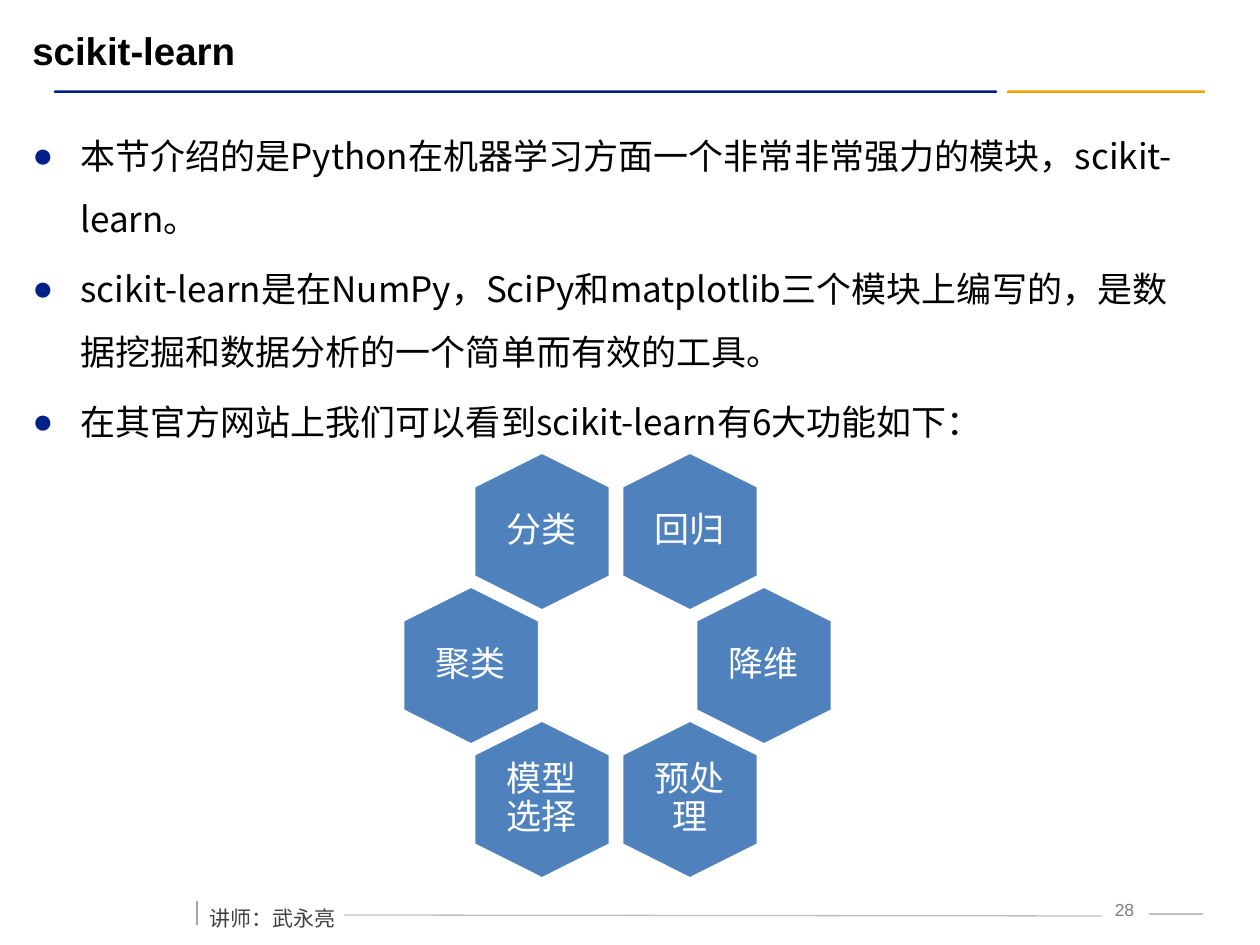
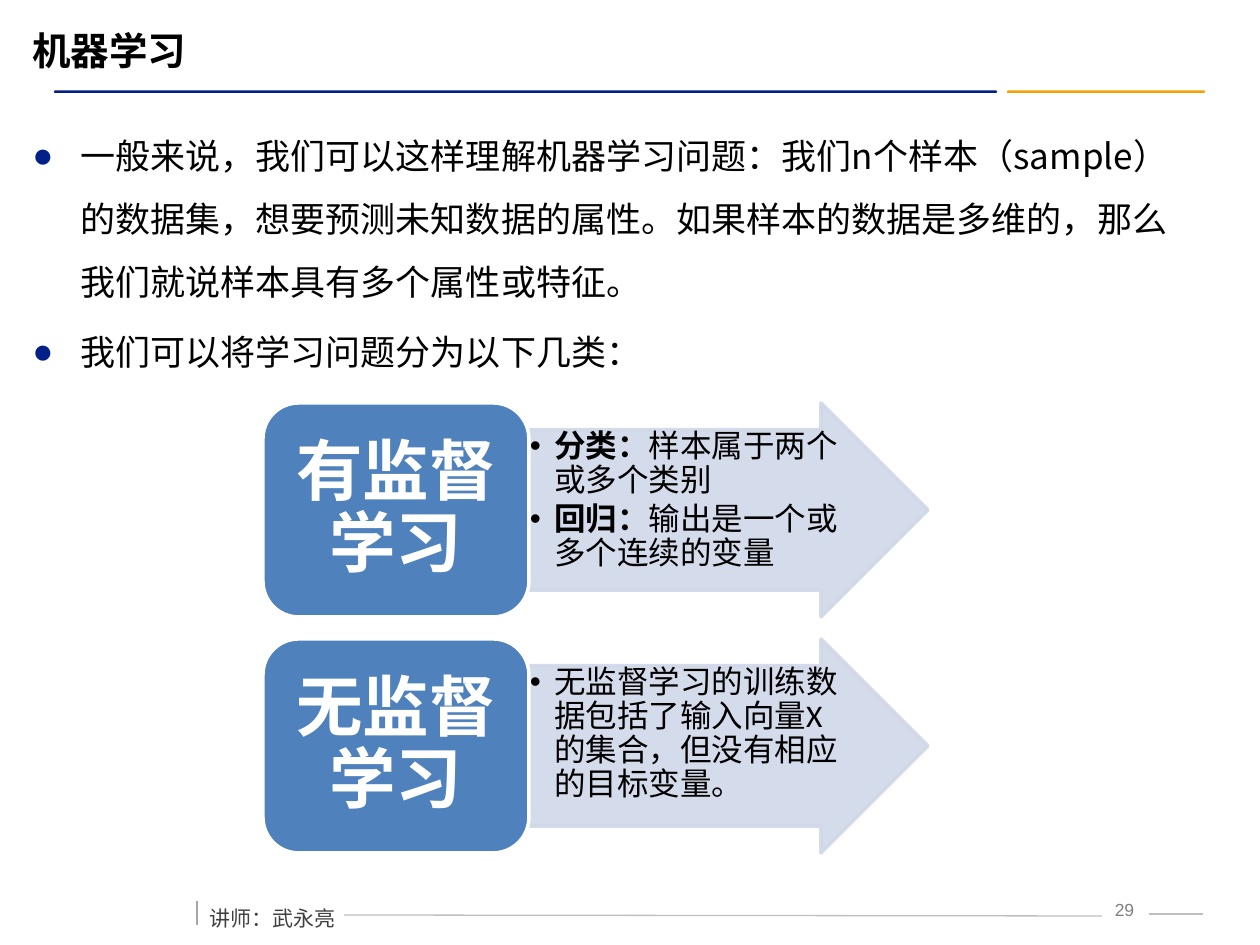
import dataclasses

import pptx
import pptx.dml.color
import pptx.enum.shapes
import pptx.enum.text
import pptx.oxml.ns
import pptx.oxml.xmlchemy
import pptx.util
from lxml import etree

SCALE = 914400 / 126  # EMU per pixel
PRESET = pptx.enum.shapes.MSO_SHAPE
ALIGN = pptx.enum.text.PP_ALIGN
ANCHOR = pptx.enum.text.MSO_ANCHOR
RGB = pptx.dml.color.RGBColor.from_string
qn = pptx.oxml.ns.qn


@dataclasses.dataclass(frozen=True)
class Theme:
    """Colours, fonts and type sizes shared by the slides."""
    navy: str = "031D89"
    orange: str = "F5A000"
    bullet: str = "032089"
    blue: str = "4F81BD"
    pale: str = "D0D8E8"
    white: str = "FFFFFF"
    ink: str = "000000"
    lecturer: str = "404040"
    number: str = "7F7F7F"
    rule: str = "BFBFBF"
    tick: str = "A6A6A6"
    heading_font: str = "Arial"
    body_font: str = "Noto Sans CJK SC"
    diagram_font: str = "Calibri"
    title_size: int = 22
    body_size: int = 20
    detail_size: int = 18
    category_size: int = 38
    lecturer_size: int = 12
    number_size: int = 10


theme = Theme()


def place(slide, frame, preset=None, fill=None, line=None):
    """Add a text box, or a filled preset shape, at a frame given in pixels."""
    left, top, width, height = [round(v * SCALE) for v in frame]
    if preset is None:
        return slide.shapes.add_textbox(left, top, width, height)
    shape = slide.shapes.add_shape(preset, left, top, width, height)
    shape.shadow.inherit = False
    shape.fill.solid()
    shape.fill.fore_color.rgb = RGB(fill)
    if line:
        shape.line.color.rgb = RGB(line)
        shape.line.width = pptx.util.Pt(2)
    else:
        shape.line.fill.background()
    return shape


def write(shape, paragraphs, size, font, color, align=ALIGN.LEFT, anchor=ANCHOR.TOP,
          insets=None, spacing=1.0, before=0, after=0, bullet=None):
    """Fill a shape with paragraphs, each a list of (text, bold) runs."""
    frame = shape.text_frame
    frame.word_wrap = True
    frame.vertical_anchor = anchor
    if insets:
        frame.margin_left = frame.margin_right = round(insets[0] * SCALE)
        frame.margin_top = frame.margin_bottom = round(insets[1] * SCALE)
    for index, runs in enumerate(paragraphs):
        paragraph = frame.add_paragraph() if index else frame.paragraphs[0]
        paragraph.alignment = align
        paragraph.line_spacing = spacing
        paragraph.space_before = pptx.util.Pt(before)
        paragraph.space_after = pptx.util.Pt(after)
        if bullet:
            mark, indent, mark_color = bullet
            properties = paragraph._p.get_or_add_pPr()
            properties.set("marL", str(round(indent * SCALE)))
            properties.set("indent", str(-round(indent * SCALE)))
            tint = etree.SubElement(properties, qn("a:buClr"))
            etree.SubElement(tint, qn("a:srgbClr"), val=mark_color)
            etree.SubElement(properties, qn("a:buFont"), typeface=theme.heading_font)
            etree.SubElement(properties, qn("a:buChar"), char=mark)
        for text, bold in runs:
            run = paragraph.add_run()
            run.text = text
            run.font.size = pptx.util.Pt(size)
            run.font.bold = bold
            run.font.color.rgb = RGB(color)
            run.font.name = font
            etree.SubElement(run._r.get_or_add_rPr(), qn("a:ea"), typeface=theme.body_font)


deck = pptx.Presentation()
deck.slide_width = pptx.util.Inches(10)
deck.slide_height = pptx.util.Inches(7.5)

pages = [
    (28, "scikit-learn", [
        "本节介绍的是Python在机器学习方面一个非常非常强力的模块，scikit-learn。",
        "scikit-learn是在NumPy，SciPy和matplotlib三个模块上编写的，"
        "是数据挖掘和数据分析的一个简单而有效的工具。",
        "在其官方网站上我们可以看到scikit-learn有6大功能如下：",
    ]),
    (29, "机器学习", [
        "一般来说，我们可以这样理解机器学习问题：我们n个样本（sample）的数据集，"
        "想要预测未知数据的属性。如果样本的数据是多维的，那么我们就说样本具有多个属性或特征。",
        "我们可以将学习问题分为以下几类：",
    ]),
]
footer_rules = [
    (344, 915, 1102, 916, theme.rule),
    (1149, 914, 1203, 914, theme.rule),
    (197, 901, 197, 925, theme.tick),
]

# Title, bands, body and footer of every slide
slides = []
for number, title, points in pages:
    slide = deck.slides.add_slide(deck.slide_layouts[6])
    slides.append(slide)
    for left, width, color in [(1007, 198, theme.orange), (54, 943, theme.navy)]:
        band = place(slide, (left, 90.5, width, 2.5), PRESET.ROUNDED_RECTANGLE, color)
        band.adjustments[0] = 0.5
    for *ends, color in footer_rules:
        rule = slide.shapes.add_connector(
            pptx.enum.shapes.MSO_CONNECTOR.STRAIGHT, *[round(v * SCALE) for v in ends])
        rule.line.color.rgb = RGB(color)
        rule.line.width = pptx.util.Pt(0.75)
        etree.SubElement(rule._element.spPr, qn("a:effectLst"))
    write(place(slide, (1095, 893, 59, 32)), [[(str(number), False)]],
          theme.number_size, theme.heading_font, theme.number, ALIGN.CENTER)
    lecturer = place(slide, (197, 887, 152, 45))
    write(lecturer, [[("讲师：武永亮", False)]], theme.lecturer_size, theme.body_font,
          theme.lecturer, spacing=1.5, before=6)
    lecturer.text_frame.word_wrap = False
    write(place(slide, (20, 21, 1147, 59)), [[(title, True)]],
          theme.title_size, theme.heading_font, theme.ink, anchor=ANCHOR.MIDDLE)
    write(place(slide, (20, 107, 1183, 178)), [[(point, False)] for point in points],
          theme.body_size, theme.body_font, theme.ink, spacing=1.5, before=4,
          bullet=("●", 48, theme.bullet))

features_slide, learning_slide = slides

# Ring of six features, three rows of two
feature_rows = [
    (542, 690, "分类", "回归"),
    (471, 764, "聚类", "降维"),
    (542, 690, "模型选择", "预处理"),
]
for row, (left_center, right_center, left_name, right_name) in enumerate(feature_rows):
    middle = 531.5 + 134 * row
    for center, name in [(left_center, left_name), (right_center, right_name)]:
        hexagon = place(features_slide, (center - 79.5, middle - 68.5, 159, 137),
                        PRESET.HEXAGON, theme.blue, theme.white)
        hexagon.adjustments[0] = 0.25
        hexagon.rotation = 90
        write(place(features_slide, (center - 47, middle - 54, 94, 108)), [[(name, False)]],
              theme.body_size, theme.diagram_font, theme.white, ALIGN.CENTER,
              ANCHOR.MIDDLE, (0, 0), spacing=0.9)

# Kinds of learning, each with an arrow of details
learning_kinds = [
    ("有监督学习", [
        [("分类：", True), ("样本属于两个或多个类别", False)],
        [("回归：", True), ("输出是一个或多个连续的变量", False)],
    ]),
    ("无监督学习", [
        [("无监督学习的训练数据包括了输入向量X的集合，但没有相应的目标变量。", False)],
    ]),
]
for row, (kind, details) in enumerate(learning_kinds):
    top = 403 + 236 * row
    arrow = place(learning_slide, (529, top, 399, 214), PRESET.RIGHT_ARROW,
                  theme.pale, theme.pale)
    arrow.adjustments[0] = 0.75
    for tint in arrow._element.spPr.iter(qn("a:srgbClr")):
        etree.SubElement(tint, qn("a:alpha"), val="90000")
    write(arrow, details, theme.detail_size, theme.diagram_font, theme.ink,
          insets=(1, 1), spacing=0.9, after=2.7, bullet=("•", 24, theme.ink))
    category = place(learning_slide, (263, top, 266, 214), PRESET.ROUNDED_RECTANGLE,
                     theme.blue, theme.white)
    write(category, [[(kind, True)]], theme.category_size, theme.diagram_font, theme.white,
          ALIGN.CENTER, ANCHOR.MIDDLE, (20, 10), spacing=0.9)

deck.save("out.pptx")
